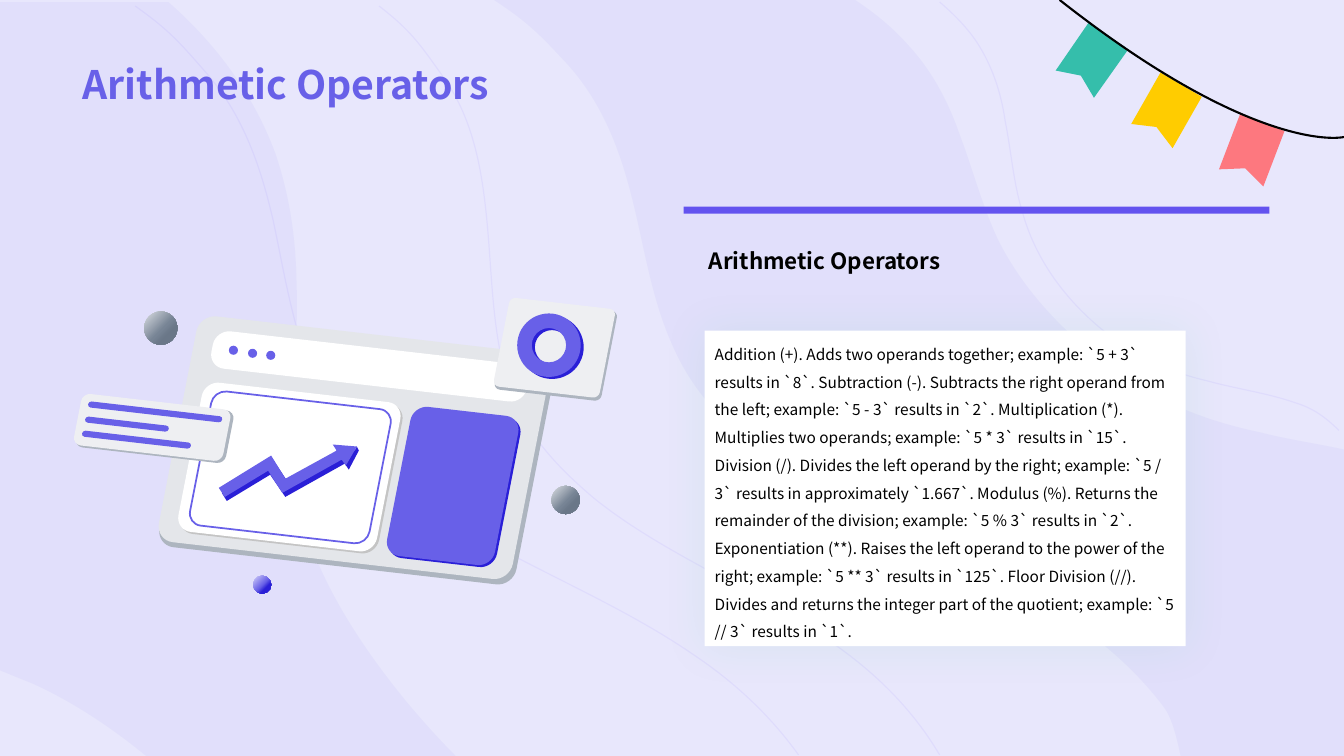
from copy import deepcopy
from lxml import etree
from pptx import Presentation
from pptx.dml.color import RGBColor
from pptx.enum import shapes, text
from pptx.oxml import ns
from pptx.util import Inches, Pt

FONT = "Noto Sans CJK SC"
BACKDROP = RGBColor(0xE8, 0xE7, 0xFC)
VIOLET = RGBColor(0x68, 0x60, 0xE8)
RULE = RGBColor(0x63, 0x53, 0xEF)
THREAD = RGBColor(0x59, 0x3C, 0xFC)
INDIGO = RGBColor(0x2A, 0x1F, 0xD7)
LILAC = RGBColor(0xC3, 0xBF, 0xF6)
BLACK = RGBColor(0, 0, 0)
WHITE = RGBColor(0xFF, 0xFF, 0xFF)
PALE = RGBColor(0xEE, 0xEF, 0xF2)
LIGHT = RGBColor(0xE4, 0xE6, 0xEA)
GREY = RGBColor(0xC4, 0xC4, 0xC4)
STEEL = RGBColor(0xAD, 0xB5, 0xBF)
CORAL = RGBColor(0xFD, 0x78, 0x7F)
YELLOW = RGBColor(0xFF, 0xCC, 0x00)
TEAL = RGBColor(0x35, 0xBE, 0xAB)
GLOW = RGBColor(0x13, 0xBB, 0x69)
SLATE = [RGBColor(0xC9, 0xCE, 0xD5), RGBColor(0x77, 0x84, 0x95), RGBColor(0x6A, 0x77, 0x88)]
PURPLE = [LILAC, VIOLET, INDIGO]

HEADING = "Arithmetic Operators"
EXPLANATION = (
    "Addition (+). Adds two operands together; example: `5 + 3` results in `8`. "
    "Subtraction (-). Subtracts the right operand from the left; example: `5 - 3` results in `2`. "
    "Multiplication (*). Multiplies two operands; example: `5 * 3` results in `15`. "
    "Division (/). Divides the left operand by the right; example: `5 / 3` results in approximately `1.667`. "
    "Modulus (%). Returns the remainder of the division; example: `5 % 3` results in `2`. "
    "Exponentiation (**). Raises the left operand to the power of the right; example: `5 ** 3` results in `125`. "
    "Floor Division (//). Divides and returns the integer part of the quotient; example: `5 // 3` results in `1`."
)

WAVES = [
    [(8.48, 0), (4.9, 0), (5.25, 0.23, 5.36, 0.35, 5.63, 0.64), (5.99, 1.04, 6.16, 1.52, 6.28, 2.01),
     (6.4, 2.5, 6.47, 3, 6.69, 3.47), (6.8, 3.71, 6.95, 3.93, 7.14, 4.12),
     (7.32, 4.3, 7.52, 4.46, 7.74, 4.61), (8.59, 5.18, 9.62, 5.51, 10.48, 6.06),
     (10.9, 6.33, 11.26, 6.64, 11.54, 7.01), (11.6, 7.09, 11.65, 7.21, 11.71, 7.5),
     (13.33, 7.5), (13.33, 4.46), (13.06, 4.4, 12.77, 4.36, 12.5, 4.29),
     (12.12, 4.21, 11.75, 4.09, 11.42, 3.9), (10.77, 3.53, 10.21, 3, 9.9, 2.38),
     (9.74, 2.04, 9.65, 1.68, 9.52, 1.34), (9.41, 1.02, 9.25, 0.71, 9.01, 0.45),
     (8.86, 0.28, 8.68, 0.13, 8.48, 0)],
    [(1.67, 0.02), (0, 0.02), (0, 6.65), (0.12, 6.7, 0.22, 6.74, 0.32, 6.78),
     (0.74, 6.97, 1.12, 7.23, 1.45, 7.5), (4.52, 7.5), (4.35, 7.33, 4.19, 7.15, 4.03, 6.96),
     (3.72, 6.58, 3.44, 6.18, 3.23, 5.75), (3, 5.29, 2.93, 4.78, 2.92, 4.28),
     (2.91, 3.78, 2.96, 3.27, 2.94, 2.76), (2.93, 2.34, 2.87, 1.93, 2.73, 1.52),
     (2.52, 0.95, 2.15, 0.44, 1.67, 0.02)],
]
THREADS = [
    [(7.92, 7.49), (7.64, 7.1, 7.29, 6.77, 6.87, 6.49), (6.01, 5.9, 4.99, 5.55, 4.15, 4.95),
     (3.94, 4.79, 3.74, 4.62, 3.56, 4.43), (3.37, 4.22, 3.22, 3.99, 3.11, 3.74),
     (2.9, 3.24, 2.82, 2.71, 2.71, 2.19), (2.59, 1.67, 2.42, 1.16, 2.06, 0.74),
     (1.79, 0.43, 1.68, 0.3, 1.34, 0.06)],
    [(9.32, 0.02), (9.46, 0.14, 9.59, 0.27, 9.69, 0.42), (9.84, 0.65, 9.93, 0.92, 9.97, 1.2),
     (10.03, 1.5, 10.05, 1.81, 10.14, 2.1), (10.29, 2.65, 10.67, 3.11, 11.16, 3.44),
     (11.4, 3.6, 11.68, 3.71, 11.98, 3.78), (12.27, 3.86, 12.58, 3.9, 12.86, 4),
     (12.99, 4.04, 13.12, 4.11, 13.28, 4.27)],
    [(9.32, 7.49), (9.09, 7.1, 8.78, 6.77, 8.41, 6.49), (7.63, 5.9, 6.65, 5.55, 5.9, 4.95),
     (5.71, 4.79, 5.53, 4.62, 5.38, 4.43), (5.21, 4.22, 5.1, 3.99, 5.02, 3.74),
     (4.88, 3.24, 4.88, 2.71, 4.83, 2.19), (4.78, 1.67, 4.69, 1.16, 4.38, 0.74),
     (4.16, 0.43, 4.07, 0.3, 3.76, 0.06)],
]
FLAGS = [
    ([(12.74, 1.3), (12.53, 1.85), (12.35, 1.67), (12.09, 1.68), (12.3, 1.13)], CORAL),
    ([(11.92, 0.96), (11.63, 1.47), (11.47, 1.26), (11.22, 1.23), (11.51, 0.72)], YELLOW),
    ([(11.19, 0.49), (10.85, 0.97), (10.72, 0.75), (10.47, 0.7), (10.8, 0.22)], TEAL),
]
STRING = [(13.33, 1.36), (13.11, 1.4, 12.21, 1.34, 10.51, 0)]
ARROW = [(2.17, 4.84), (2.69, 4.52), (2.83, 4.75), (3.34, 4.47), (3.3, 4.41), (3.54, 4.43),
         (3.43, 4.62), (3.39, 4.56), (2.8, 4.89), (2.66, 4.67), (2.23, 4.93)]
ARROW_SIDE = [(3.54, 4.43), (3.52, 4.47), (3.33, 4.45), (3.36, 4.52), (2.86, 4.79), (2.71, 4.56),
              (2.2, 4.89), (2.25, 4.97), (2.68, 4.71), (2.83, 4.93), (3.42, 4.6), (3.46, 4.66),
              (3.56, 4.47)]
WINDOW_CARDS = [
    (1.99, 3.15, 3.54, 2.26, 0.17, STEEL), (1.98, 3.12, 3.51, 2.24, 0.17, LIGHT),
    (2.05, 3.8, 1.97, 1.48, 0.15, GREY), (2.03, 3.78, 1.97, 1.48, 0.15, WHITE),
    (2.12, 3.87, 1.78, 1.33, 0.13, None),
    (4.12, 4.04, 1.07, 1.48, 0.15, INDIGO), (4.1, 4.02, 1.07, 1.48, 0.15, VIOLET),
    (2.14, 3.27, 3.13, 0.37, 0.15, WHITE),
]
BADGE_CARDS = [(5.07, 2.97, 1.06, 0.89, 0.06, STEEL), (5.06, 2.95, 1.05, 0.88, 0.06, PALE)]
NOTE_CARDS = [
    (0.84, 3.91, 1.49, 0.52, 0.08, STEEL), (0.82, 3.9, 1.48, 0.51, 0.08, PALE),
    (0.88, 3.98, 1.33, 0.06, 0.03, VIOLET), (0.85, 4.13, 0.83, 0.06, 0.03, VIOLET),
    (0.82, 4.27, 1.08, 0.06, 0.03, VIOLET),
]
DOTS = [(2.27, 3.43), (2.46, 3.46), (2.64, 3.48)]
RINGS = [(5.16, 3.13, INDIGO), (5.13, 3.11, VIOLET)]
BALLS = [(1.43, 3.09, 0.33, SLATE), (5.47, 4.82, 0.28, SLATE), (2.51, 5.71, 0.18, PURPLE)]
ACROSS = (1, 0.115)
DOWN = (-0.195, 1)

deck = Presentation()
deck.slide_width, deck.slide_height = Inches(13.33), Inches(7.5)
page = deck.slides.add_slide(deck.slide_layouts[5])
page.background.fill.solid()
page.background.fill.fore_color.rgb = BACKDROP


def paint(shape, fill=None, line=None, width=1, alpha=None):
    shape.shadow.inherit = False
    if fill is None:
        shape.fill.background()
    else:
        shape.fill.solid()
        shape.fill.fore_color.rgb = fill
    if line is None:
        shape.line.fill.background()
    else:
        shape.line.color.rgb = line
        shape.line.width = Pt(width)
    if alpha:
        for color in shape.element.iter(ns.qn("a:srgbClr")):
            etree.SubElement(color, ns.qn("a:alpha"), val=str(alpha * 1000))


def draw(steps, closed=True, **style):
    points = [(Inches(step[i]), Inches(step[i + 1])) for step in steps for i in range(0, len(step), 2)]
    builder = page.shapes.build_freeform(*points[0])
    builder.add_line_segments(points[1:], close=closed)
    shape = builder.convert_to_shape()
    segments = iter(list(shape.element.iter(ns.qn("a:lnTo"))))
    for step in steps[1:]:
        parts = [next(segments) for _ in range(len(step) // 2)]
        if len(parts) == 3:
            curve = etree.Element(ns.qn("a:cubicBezTo"))
            parts[0].addprevious(curve)
            for part in parts:
                curve.append(part[0])
                part.getparent().remove(part)
    paint(shape, **style)


def preset(kind, left, top, width, height, fill):
    shape = page.shapes.add_shape(kind, Inches(left), Inches(top), Inches(width), Inches(height))
    paint(shape, fill)
    return shape


def card(left, top, width, height, radius, fill):
    def at(u, v):
        return left + u * ACROSS[0] + v * DOWN[0], top + u * ACROSS[1] + v * DOWN[1]

    steps = []
    for u, v, along in [(0, 0, 0), (width, 0, 1), (width, height, 0), (0, height, 1)]:
        du, dv = (1 if u == 0 else -1), (1 if v == 0 else -1)

        def ends(distance):
            pair = [at(u, v + dv * distance), at(u + du * distance, v)]
            return pair[::-1] if along else pair

        (start, finish), (first, second) = ends(radius), ends(radius * 0.45)
        steps += [start, first + second + finish]
    draw(steps, fill=fill, line=None if fill else VIOLET, width=1.25)


def write(frame, words, size, color, bold=False):
    frame.text = words
    frame.word_wrap = True
    para = frame.paragraphs[0]
    para.alignment = text.PP_ALIGN.LEFT
    font = para.runs[0].font
    font.name, font.size, font.bold, font.color.rgb = FONT, Pt(size), bold, color
    return para


for wave in WAVES:
    draw(wave, fill=RULE, alpha=5)
for thread in THREADS:
    draw(thread, closed=False, line=THREAD, width=0.85, alpha=5)
for flag, color in FLAGS:
    draw(flag, fill=color)
draw(STRING, closed=False, line=BLACK, width=1.5)

for item in WINDOW_CARDS:
    card(*item)
for left, top in DOTS:
    preset(shapes.MSO_SHAPE.OVAL, left, top, 0.09, 0.09, VIOLET)
draw(ARROW_SIDE, fill=INDIGO)
draw(ARROW, fill=VIOLET)
for item in BADGE_CARDS:
    card(*item)
for left, top, color in RINGS:
    ring = preset(shapes.MSO_SHAPE.DONUT, left, top, 0.63, 0.63, color)
    ring.adjustments[0] = 0.23
for item in NOTE_CARDS:
    card(*item)
for left, top, size, colors in BALLS:
    ball = preset(shapes.MSO_SHAPE.OVAL, left, top, size, size, colors[0])
    ball.fill.gradient()
    ball.fill.gradient_angle = 315
    stops = ball.element.find(".//" + ns.qn("a:gsLst"))
    stops.append(deepcopy(stops[0]))
    for stop, position, color in zip(ball.fill.gradient_stops, (0.1, 0.54, 0.71), colors):
        stop.position = position
        stop.color.rgb = color

title = page.shapes.title
title.left, title.top, title.width, title.height = Inches(0.72), Inches(0), Inches(11.88), Inches(1.12)
write(title.text_frame, HEADING, 28, VIOLET, True)
title.text_frame.vertical_anchor = text.MSO_ANCHOR.BOTTOM
title.text_frame.auto_size = text.MSO_AUTO_SIZE.NONE
title.element.getparent().append(title.element)

panel = preset(shapes.MSO_SHAPE.RECTANGLE, 6.99, 3.28, 4.77, 3.13, WHITE)
write(panel.text_frame, EXPLANATION, 11, BLACK).line_spacing = 1.5
panel.text_frame.vertical_anchor = text.MSO_ANCHOR.MIDDLE
panel.text_frame.auto_size = text.MSO_AUTO_SIZE.SHAPE_TO_FIT_TEXT
effects = panel.element.find(".//" + ns.qn("a:effectLst"))
glow = etree.SubElement(effects, ns.qn("a:outerShdw"), blurRad=str(int(Pt(33))), dist="0", algn="ctr")
tint = etree.SubElement(glow, ns.qn("a:srgbClr"), val=str(GLOW))
etree.SubElement(tint, ns.qn("a:alpha"), val="7000")

preset(shapes.MSO_SHAPE.RECTANGLE, 6.78, 2.05, 5.81, 0.07, RULE)
box = page.shapes.add_textbox(Inches(7.03), Inches(2.45), Inches(5.35), Inches(0.27))
frame = box.text_frame
write(frame, HEADING, 16, BLACK, True)
frame.margin_left = frame.margin_right = frame.margin_top = frame.margin_bottom = 0
frame.vertical_anchor = text.MSO_ANCHOR.BOTTOM
frame.auto_size = text.MSO_AUTO_SIZE.SHAPE_TO_FIT_TEXT

deck.save("out.pptx")
